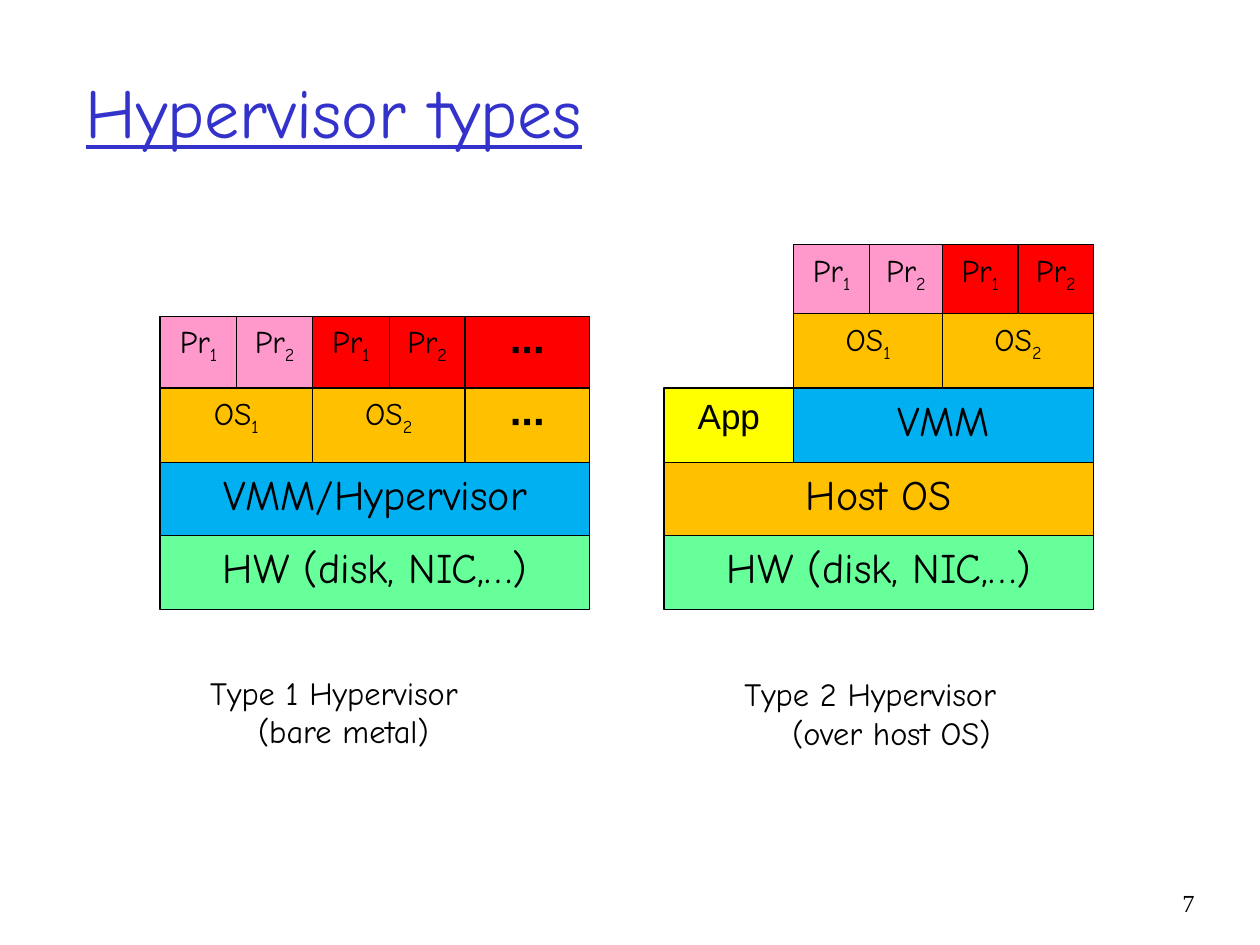
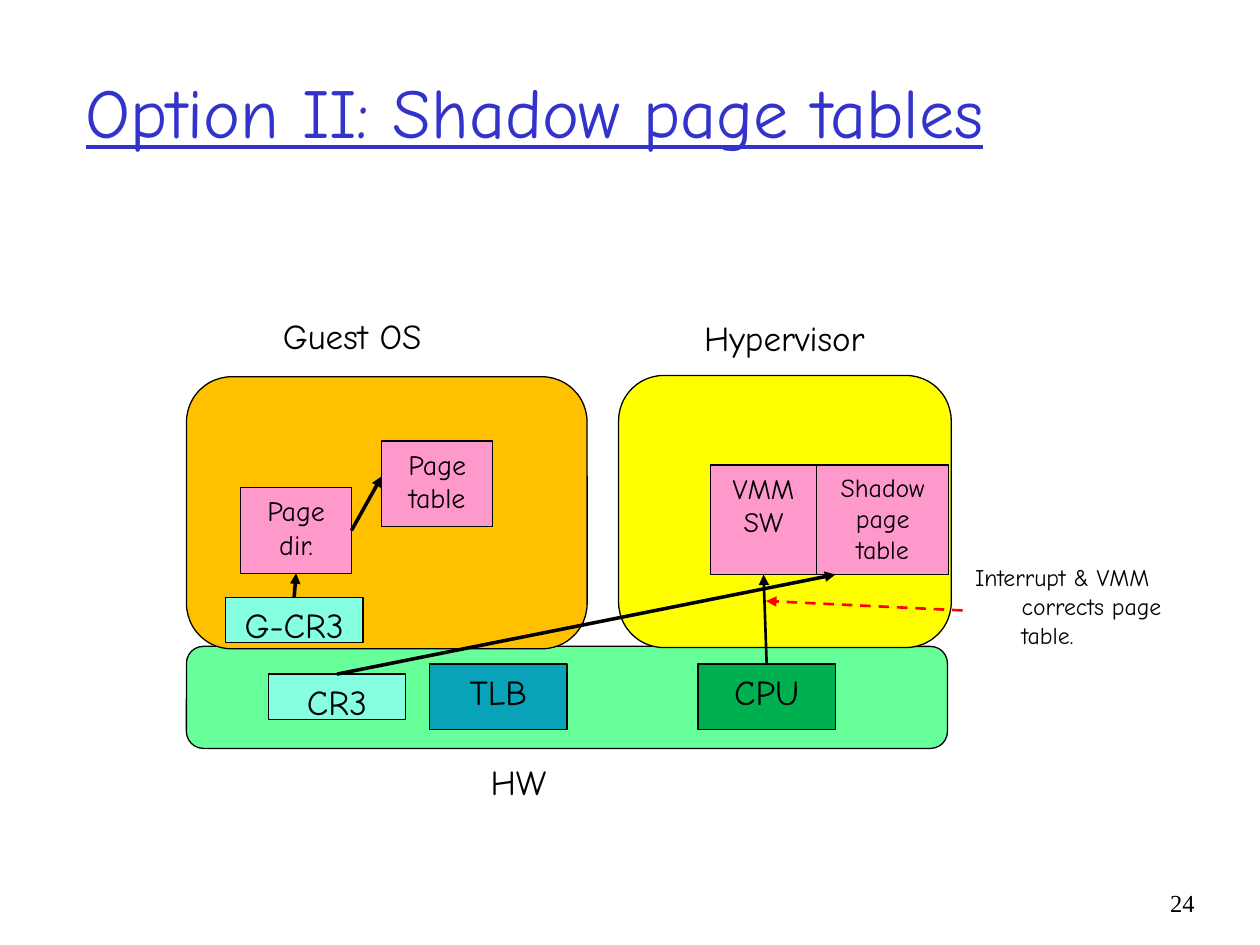
from dataclasses import dataclass
from itertools import accumulate
from typing import Optional

from lxml import etree
from pptx import Presentation
from pptx.dml.color import RGBColor
from pptx.enum.dml import MSO_LINE
from pptx.enum.shapes import MSO_CONNECTOR, MSO_SHAPE
from pptx.enum.text import MSO_ANCHOR, PP_ALIGN
from pptx.oxml.ns import qn
from pptx.util import Emu, Inches, Pt

RECTANGLE = MSO_SHAPE.RECTANGLE
ROUNDED = MSO_SHAPE.ROUNDED_RECTANGLE
STRAIGHT = MSO_CONNECTOR.STRAIGHT
DASH = MSO_LINE.DASH
LEFT, CENTER, RIGHT = PP_ALIGN.LEFT, PP_ALIGN.CENTER, PP_ALIGN.RIGHT
TOP, MIDDLE = MSO_ANCHOR.TOP, MSO_ANCHOR.MIDDLE
TOP_SIDE, LEFT_SIDE, BOTTOM_SIDE, RIGHT_SIDE = range(4)

WIDTH, HEIGHT = Inches(10), Inches(7.5)
GRID_COLUMNS, GRID_ROWS = 100, 75
TITLE_ONLY = 5

BODY_FONT, PLAIN_FONT, NUMBER_FONT = "Comic Neue", "Arial", "Times New Roman"
BLACK, TITLE_BLUE = "000000", "3333CC"
GREEN, BLUE, ORANGE, YELLOW = "66FF99", "00B0F0", "FFC000", "FFFF00"
PINK, RED, AQUA, TEAL, DARK_GREEN = "FF99CC", "FF0000", "85FFE0", "08A3B8", "00B050"


@dataclass(frozen=True)
class Box:
    left: float
    top: float
    width: float
    height: float
    text: str = ""
    fill: Optional[str] = None
    size: float = 20
    align: PP_ALIGN = CENTER
    font: str = BODY_FONT
    bold: bool = False
    hanging: float = 0
    shape: MSO_SHAPE = RECTANGLE
    space: Optional[float] = None


@dataclass(frozen=True)
class Tile:
    row: int
    column: int
    span: int
    text: str
    fill: str
    size: float = 24
    font: str = BODY_FONT
    bold: bool = False


@dataclass(frozen=True)
class Stack:
    left: float
    top: float
    widths: tuple
    heights: tuple
    tiles: tuple


@dataclass(frozen=True)
class Arrow:
    start: tuple
    end: tuple
    start_box: Optional[tuple] = None
    end_box: Optional[tuple] = None
    color: str = BLACK
    weight: float = 2
    dashed: bool = False


STACKS = (
    Stack(12.7, 25.1, (6.1, 6, 6.1, 6, 9.9), (5.7, 5.9, 5.8, 5.9), (
        Tile(3, 0, 5, "HW (disk, NIC,…)", GREEN),
        Tile(2, 0, 5, "VMM/Hypervisor", BLUE),
        Tile(0, 0, 1, "Pr_1", PINK, 18),
        Tile(0, 1, 1, "Pr_2", PINK, 18),
        Tile(0, 4, 1, "∙∙∙", RED, font=PLAIN_FONT, bold=True),
        Tile(1, 0, 2, "OS_1", ORANGE, 18),
        Tile(1, 2, 2, "OS_2", ORANGE, 18),
        Tile(1, 4, 1, "∙∙∙", ORANGE, font=PLAIN_FONT, bold=True),
        Tile(0, 2, 1, "Pr_1", RED, 18),
        Tile(0, 3, 1, "Pr_2", RED, 18),
    )),
    Stack(52.7, 19.4, (10.3, 6, 5.8, 6, 6), (5.5, 5.9, 5.9, 5.8, 5.9), (
        Tile(4, 0, 5, "HW (disk, NIC,…)", GREEN),
        Tile(3, 0, 5, "Host OS", ORANGE),
        Tile(0, 1, 1, "Pr_1", PINK, 18),
        Tile(0, 2, 1, "Pr_2", PINK, 18),
        Tile(1, 1, 2, "OS_1", ORANGE, 18),
        Tile(1, 3, 2, "OS_2", ORANGE, 18),
        Tile(0, 3, 1, "Pr_1", RED, 18),
        Tile(0, 4, 1, "Pr_2", RED, 18),
        Tile(2, 1, 4, "VMM", BLUE),
        Tile(2, 0, 1, "App", YELLOW, 20, PLAIN_FONT),
    )),
)

CAPTIONS = (
    Box(15.7, 52.9, 27.6, 7.7, "Type 1 Hypervisor (bare metal)",
        size=18.5, align=LEFT, hanging=3.8, space=5),
    Box(58.1, 53, 27.6, 7.7, "Type 2 Hypervisor (over host OS)",
        size=18.5, align=LEFT, hanging=3.8, space=5),
)

MACHINE = {
    "hardware": Box(14.8, 51.3, 60.4, 8.1, fill=GREEN, shape=ROUNDED),
    "hardware label": Box(35.7, 59.9, 10.9, 5.2, "HW"),
    "tlb": Box(34.1, 52.7, 10.9, 5.2, "TLB", TEAL),
    "cr3": Box(21.3, 53.5, 10.9, 3.6, "CR3", AQUA),
    "guest": Box(14.8, 29.9, 31.8, 21.6, fill=ORANGE, shape=ROUNDED),
    "guest label": Box(19, 24.5, 17.9, 5.2, "Guest OS"),
    "page directory": Box(19.1, 38.7, 8.8, 6.8, "Page dir.", PINK, 16),
    "page table": Box(30.3, 35, 8.8, 6.8, "Page table", PINK, 16),
    "hypervisor": Box(49.1, 29.8, 26.4, 21.6, fill=YELLOW, shape=ROUNDED),
    "hypervisor label": Box(53.3, 24.6, 17.9, 5.2, "Hypervisor"),
    "shadow table": Box(64.8, 36.9, 10.5, 8.7, "Shadow page table", PINK, 14.8, space=4),
    "cpu": Box(55.4, 52.7, 10.9, 5.2, "CPU", DARK_GREEN),
    "interrupt note": Box(76.4, 44.2, 21.4, 8.5, "Interrupt & VMM corrects page table.",
                          size=13.6, align=LEFT, hanging=3.7, space=4),
    "vmm": Box(56.4, 36.9, 8.4, 8.7, "VMM SW", PINK, 16),
    "guest cr3": Box(17.9, 47.4, 10.9, 3.6, "G-CR3", AQUA),
}

ARROWS = (
    Arrow((28, 41.8), (30.3, 37.8), ("page directory", RIGHT_SIDE)),
    Arrow((60.8, 52.7), (60.8, 45.6), ("cpu", TOP_SIDE), ("vmm", BOTTOM_SIDE), weight=1.5),
    Arrow((76.4, 48.5), (60.8, 47.7), ("interrupt note", LEFT_SIDE),
          color=RED, weight=1.5, dashed=True),
    Arrow((26.7, 53.5), (66.3, 45.6), ("cr3", TOP_SIDE)),
    Arrow((23.4, 47.4), (23.6, 45.4), ("guest cr3", TOP_SIDE), ("page directory", BOTTOM_SIDE)),
)


def color_of(code: str) -> RGBColor:
    return RGBColor.from_string(code)


def columns(count: float) -> Emu:
    return Emu(round(WIDTH * count / GRID_COLUMNS))


def rows(count: float) -> Emu:
    return Emu(round(HEIGHT * count / GRID_ROWS))


def area(left: float, top: float, width: float, height: float) -> tuple:
    return columns(left), rows(top), columns(width), rows(height)


def write(frame, text: str, *, size: float, font: str = BODY_FONT, color: str = BLACK,
          align: PP_ALIGN = LEFT, anchor: MSO_ANCHOR = TOP, bold: bool = False,
          underline: bool = False, hanging: float = 0, space: float = 0) -> None:
    frame.word_wrap = True
    frame.vertical_anchor = anchor
    para = frame.paragraphs[0]
    para.alignment = align
    para.space_before = Pt(space)
    if hanging:
        properties = para._p.get_or_add_pPr()
        properties.set("marL", str(columns(hanging)))
        properties.set("indent", str(-columns(hanging)))
    for position, part in enumerate(text.split("_")):
        span = para.add_run()
        span.text = part
        span.font.name = font
        span.font.size = Pt(size)
        span.font.bold = bold
        span.font.underline = underline
        span.font.color.rgb = color_of(color)
        if position:
            span._r.get_or_add_rPr().set("baseline", "-25000")


def add_box(page, box: Box):
    place = area(box.left, box.top, box.width, box.height)
    if box.fill:
        shape = page.shapes.add_shape(box.shape, *place)
        shape.shadow.inherit = False
        shape.fill.solid()
        shape.fill.fore_color.rgb = color_of(box.fill)
        shape.line.color.rgb = color_of(BLACK)
        shape.line.width = Pt(0.75)
    else:
        shape = page.shapes.add_textbox(*place)
    if box.text:
        space = box.size / 4 if box.space is None else box.space
        write(shape.text_frame, box.text, size=box.size, font=box.font, align=box.align,
              bold=box.bold, hanging=box.hanging, space=space)
    return shape


def add_stack(page, stack: Stack) -> None:
    lefts = list(accumulate(stack.widths, initial=stack.left))
    tops = list(accumulate(stack.heights, initial=stack.top))
    for tile in stack.tiles:
        left, top = lefts[tile.column], tops[tile.row]
        add_box(page, Box(left, top, lefts[tile.column + tile.span] - left,
                          stack.heights[tile.row], tile.text, tile.fill, tile.size,
                          font=tile.font, bold=tile.bold))


def add_arrow(page, arrow: Arrow, boxes: dict) -> None:
    (left, top), (right, bottom) = arrow.start, arrow.end
    line = page.shapes.add_connector(STRAIGHT, columns(left), rows(top),
                                     columns(right), rows(bottom))
    if arrow.start_box:
        name, side = arrow.start_box
        line.begin_connect(boxes[name], side)
    if arrow.end_box:
        name, side = arrow.end_box
        line.end_connect(boxes[name], side)
    line.line.color.rgb = color_of(arrow.color)
    line.line.width = Pt(arrow.weight)
    if arrow.dashed:
        line.line.dash_style = DASH
    etree.SubElement(line.line._get_or_add_ln(), qn("a:tailEnd"), type="triangle")
    etree.SubElement(line._element.spPr, qn("a:effectLst"))


def add_page(deck, title: str, number: int):
    page = deck.slides.add_slide(deck.slide_layouts[TITLE_ONLY])
    heading = page.shapes.title
    heading.left, heading.top, heading.width, heading.height = area(5.8, 2.5, 85, 12.5)
    write(heading.text_frame, title, size=40, color=TITLE_BLUE, anchor=MIDDLE, underline=True)
    add_box(page, Box(90.8, 70, 5, 5, str(number), size=14, align=RIGHT,
                      font=NUMBER_FONT, space=0))
    return page


def add_hypervisor_types(deck) -> None:
    page = add_page(deck, "Hypervisor types", 7)
    for stack in STACKS:
        add_stack(page, stack)
    for caption in CAPTIONS:
        add_box(page, caption)


def add_shadow_page_tables(deck) -> None:
    page = add_page(deck, "Option II: Shadow page tables", 24)
    boxes = {name: add_box(page, box) for name, box in MACHINE.items()}
    for arrow in ARROWS:
        add_arrow(page, arrow, boxes)


def main() -> None:
    deck = Presentation()
    deck.slide_width, deck.slide_height = WIDTH, HEIGHT
    add_hypervisor_types(deck)
    add_shadow_page_tables(deck)
    deck.save("out.pptx")


if __name__ == "__main__":
    main()
